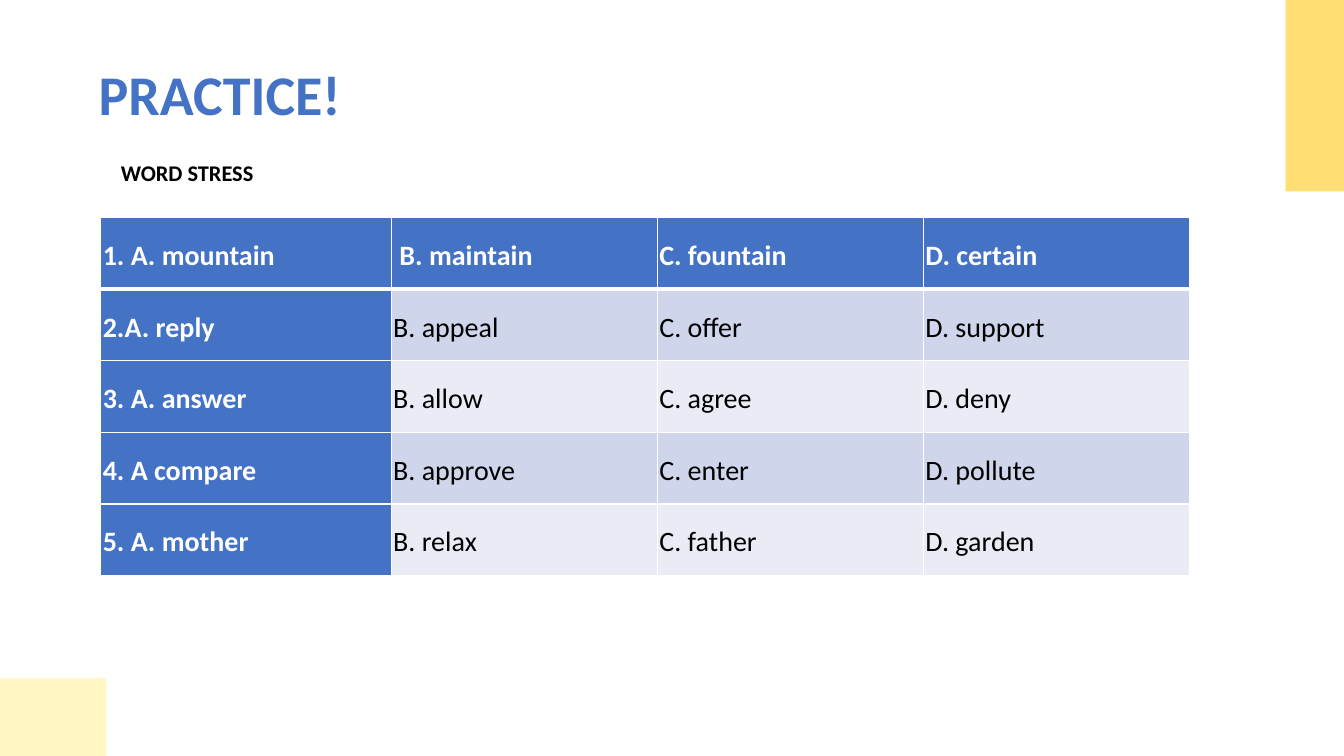
import pptx
import pptx.util
import pptx.dml.color
import pptx.enum.shapes
import pptx.enum.text
import pptx.oxml
import pptx.oxml.ns
from lxml import etree

TITLE = "PRACTICE!"
SUBTITLE = "WORD STRESS"
QUESTIONS = [
    ("1. A. mountain", "\u00a0B. maintain".replace("\u00a0", " "), "C. fountain", "D. certain"),
    ("2.A. reply", "B. appeal", "C. offer", "D. support"),
    ("3. A. answer", "B. allow", "C. agree", "D. deny"),
    ("4. A compare", "B. approve", "C. enter", "D. pollute"),
    ("5. A. mother", "B. relax", "C. father", "D. garden"),
]
COLORS = {
    "accent": "4472C4", "odd_row": "CFD5EA", "even_row": "E9EBF5",
    "gold": "FFDF74", "cream": "FFF4AC", "white": "FFFFFF", "black": "000000",
}
FONT = "Calibri"
WIDTH, HEIGHT = 13.33, 7.5
LEFT = 0.88
TABLE_LEFT, TABLE_TOP = 1, 2.16
COLUMNS = [2.88] + [2.64] * 3
ROW_HEIGHT = 0.71
CORNERS = [
    (WIDTH - 0.58, 0, 0.58, 1.9, "gold", 100),
    (0, HEIGHT - 0.77, 1.05, 0.77, "cream", 73),
]

inches = pptx.util.Inches
points = pptx.util.Pt


def color(name):
    return pptx.dml.color.RGBColor.from_string(COLORS[name])


def add_run(paragraph, text, size, color_name, bold):
    run = paragraph.add_run()
    run.text = text
    run.font.name = FONT
    run.font.size = points(size)
    run.font.bold = bold
    run.font.color.rgb = color(color_name)


def add_corner(slide, left, top, width, height, color_name, opacity):
    shape = slide.shapes.add_shape(
        pptx.enum.shapes.MSO_SHAPE.RECTANGLE, *map(inches, (left, top, width, height)))
    shape.shadow.inherit = False
    shape.line.fill.background()
    shape.fill.solid()
    shape.fill.fore_color.rgb = color(color_name)
    if opacity < 100:
        fill_color = shape.fill._xPr.find(".//" + pptx.oxml.ns.qn("a:srgbClr"))
        etree.SubElement(fill_color, pptx.oxml.ns.qn("a:alpha"), val=str(opacity * 1000))


def add_heading(slide, text, top, width, height, size, color_name, indent=0):
    box = slide.shapes.add_textbox(*map(inches, (LEFT, top, width, height)))
    frame = box.text_frame
    frame.word_wrap = True
    frame.margin_left = frame.margin_right = inches(0.1)
    frame.margin_top = frame.margin_bottom = inches(0.1)
    paragraph = frame.paragraphs[0]
    paragraph.line_spacing = 0.9
    if indent:
        paragraph._p.get_or_add_pPr().set("marL", str(inches(indent)))
    add_run(paragraph, text, size, color_name, True)


def set_borders(cell, widths):
    properties = cell._tc.get_or_add_tcPr()
    for position, (side, width) in enumerate(widths.items()):
        line = pptx.oxml.parse_xml(
            f'<a:ln{side} {pptx.oxml.ns.nsdecls("a")} w="{points(width)}"><a:solidFill>'
            f'<a:srgbClr val="{COLORS["white"]}"/></a:solidFill></a:ln{side}>')
        properties.insert(position, line)


def fill_cell(cell, text, row, column):
    heading = row == 0 or column == 0
    band = "odd_row" if row % 2 else "even_row"
    cell.fill.solid()
    cell.fill.fore_color.rgb = color("accent" if heading else band)
    cell.vertical_anchor = pptx.enum.text.MSO_ANCHOR.MIDDLE
    cell.margin_left = cell.margin_right = inches(0.02)
    cell.margin_top = cell.margin_bottom = inches(0.02)
    paragraph = cell.text_frame.paragraphs[0]
    paragraph.alignment = pptx.enum.text.PP_ALIGN.JUSTIFY
    paragraph.line_spacing = 1.15
    paragraph.space_before = paragraph.space_after = points(0.7)
    add_run(paragraph, text, 20, "white" if heading else "black", heading)
    set_borders(cell, {"L": 1, "R": 1, "T": 3 if row == 1 else 1, "B": 3 if row == 0 else 1})


def add_questions(slide):
    row_count = len(QUESTIONS)
    table = slide.shapes.add_table(
        row_count, len(COLUMNS), inches(TABLE_LEFT), inches(TABLE_TOP),
        inches(sum(COLUMNS)), inches(ROW_HEIGHT * row_count)).table
    table.first_col = True
    for column, width in zip(table.columns, COLUMNS):
        column.width = inches(width)
    for row, words in enumerate(QUESTIONS):
        table.rows[row].height = inches(ROW_HEIGHT)
        for column, word in enumerate(words):
            fill_cell(table.cell(row, column), word, row, column)


def main():
    presentation = pptx.Presentation()
    presentation.slide_width = inches(WIDTH)
    presentation.slide_height = inches(HEIGHT)
    slide = presentation.slides.add_slide(presentation.slide_layouts[6])
    for corner in CORNERS:
        add_corner(slide, *corner)
    add_heading(slide, SUBTITLE, 1.51, 9.85, 0.5, 16, "black", indent=0.22)
    add_heading(slide, TITLE, 0.57, 10.26, 0.92, 40, "accent")
    add_questions(slide)
    presentation.save("out.pptx")


if __name__ == "__main__":
    main()
